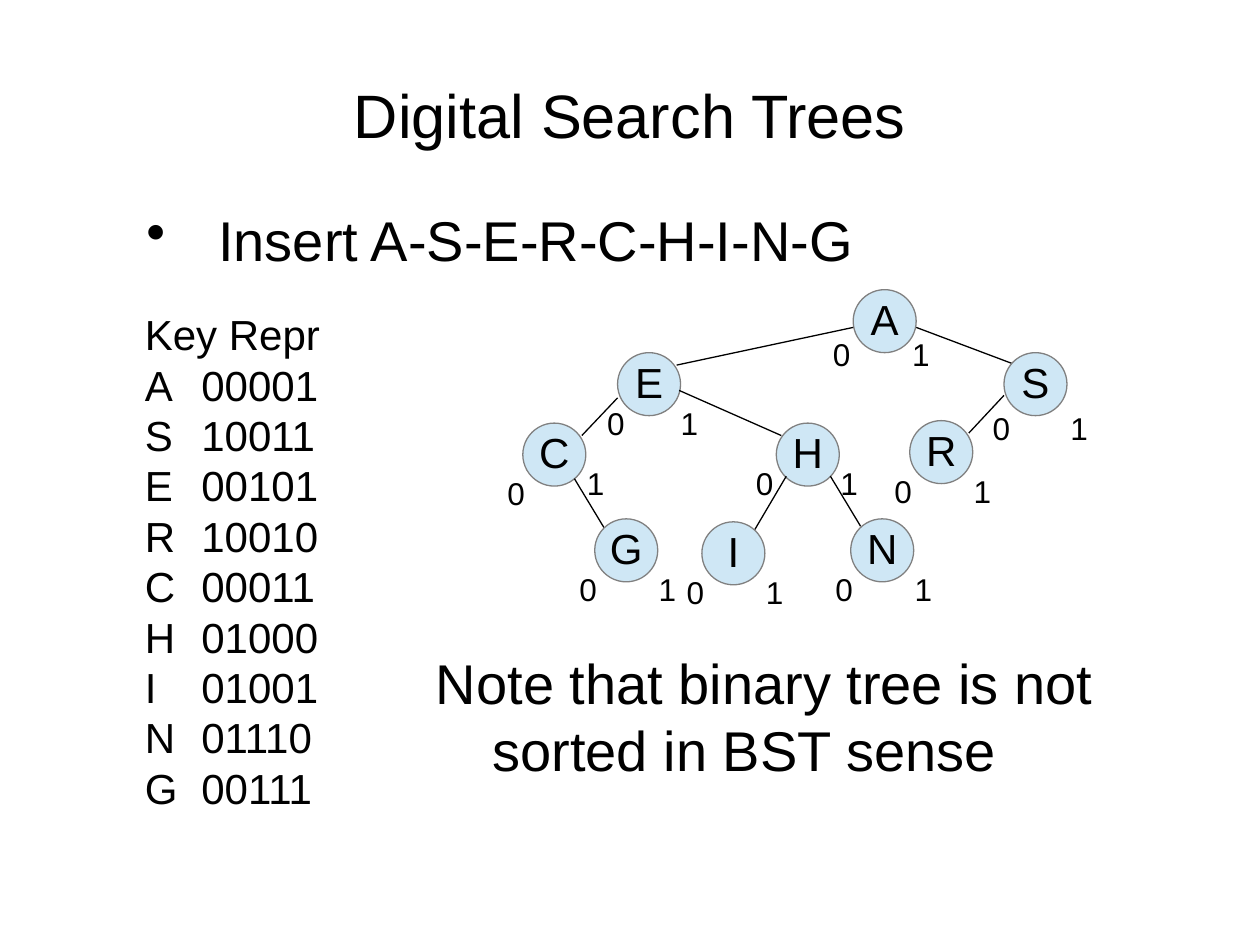
from dataclasses import dataclass

from lxml import etree
from pptx import Presentation
from pptx import util as u
from pptx.dml.color import RGBColor
from pptx.enum import shapes, text
from pptx.oxml.ns import qn


@dataclass(frozen=True)
class Theme:
    font: str = "Arial"
    ink: str = "000000"
    node_fill: str = "CFE7F5"
    node_line: str = "808080"
    title: float = 35
    body: float = 32
    key: float = 24
    bit: float = 18
    line_width: float = 0.75
    tight: float = 0.93


THEME = Theme()
NODE_SIZE = 1.27
BIT_SIZE = (0.86, 0.97)

KEYS = [("A", "00001"), ("S", "10011"), ("E", "00101"), ("R", "10010"), ("C", "00011"),
        ("H", "01000"), ("I", "01001"), ("N", "01110"), ("G", "00111")]

# Top-left corner of each node, in cm, parents first
NODES = {
    "A": (17.2, 5.84), "S": (20.24, 7.11), "E": (12.45, 7.11),
    "R": (18.34, 8.48), "C": (10.54, 8.53), "H": (15.65, 8.53),
    "I": (14.15, 10.52), "N": (17.15, 10.46), "G": (11.99, 10.46),
}

# Child: parent, offset in the parent, offset in the child
EDGES = {
    "S": ("A", (1.27, 0.76), (0.25, 0.25)),
    "E": ("A", (0, 0.76), (1.19, 0.25)),
    "R": ("S", (0, 0.86), (1.19, 0.25)),
    "C": ("E", (0, 0.91), (1.19, 0.25)),
    "H": ("E", (1.24, 0.76), (0.1, 0.25)),
    "I": ("H", (0.2, 1.07), (1.04, 0.2)),
    "N": ("H", (1.09, 1.07), (0.2, 0.15)),
    "G": ("C", (1.04, 1.12), (0.2, 0.2)),
}

# Offsets of the 0 and 1 labels from their node
BITS = ((-0.56, 0.97), (1.04, 0.97))
MOVED_BITS = {
    "A": ((-0.66, 0.86), (0.94, 0.86)),
    "S": ((-0.48, 1.07), (1.09, 1.07)),
    "E": ((-0.46, 0.97), (1.02, 0.97)),
    "C": ((-0.56, 0.97), (1.04, 0.76)),
    "H": ((-0.66, 0.76), (1.04, 0.76)),
}


def shift(point, offset):
    return point[0] + offset[0], point[1] + offset[1]


def cm(*values):
    return [u.Cm(v) for v in values]


def set_indent(p, margin, first):
    pPr = p._p.get_or_add_pPr()
    pPr.set("marL", str(u.Cm(margin)))
    pPr.set("indent", str(u.Cm(first)))


def add_bullet(p):
    bullet = etree.SubElement(p._p.get_or_add_pPr(), qn("a:buChar"))
    bullet.set("char", "•")


def add_run(p, content, size):
    r = p.add_run()
    r.text = content
    r.font.name = THEME.font
    r.font.size = u.Pt(size)
    r.font.color.rgb = RGBColor.from_string(THEME.ink)


def add_text(s, box, lines, size, indent=None, bullet=False, wrap=True, centred=False, spacing=None):
    tf = s.shapes.add_textbox(*cm(*box)).text_frame
    tf.word_wrap = wrap
    if centred:
        tf.vertical_anchor = text.MSO_ANCHOR.MIDDLE
    for i, line in enumerate(lines):
        p = tf.paragraphs[0] if i == 0 else tf.add_paragraph()
        p.alignment = text.PP_ALIGN.CENTER if centred else text.PP_ALIGN.LEFT
        if spacing:
            p.line_spacing = spacing
        if indent:
            set_indent(p, *indent)
        if bullet:
            add_bullet(p)
        add_run(p, line, size)


def add_edge(s, start, end):
    line = s.shapes.add_connector(shapes.MSO_CONNECTOR.STRAIGHT, *cm(*start, *end))
    line.line.color.rgb = RGBColor.from_string(THEME.ink)
    line.line.width = u.Pt(THEME.line_width)
    etree.SubElement(line._element.spPr, qn("a:effectLst"))


def add_node(s, letter, corner):
    sp = s.shapes.add_shape(shapes.MSO_SHAPE.OVAL, *cm(*corner, NODE_SIZE, NODE_SIZE))
    sp.shadow.inherit = False
    sp.fill.solid()
    sp.fill.fore_color.rgb = RGBColor.from_string(THEME.node_fill)
    sp.line.color.rgb = RGBColor.from_string(THEME.node_line)
    sp.line.width = u.Pt(THEME.line_width)
    tf = sp.text_frame
    tf.word_wrap = False
    tf.vertical_anchor = text.MSO_ANCHOR.MIDDLE
    p = tf.paragraphs[0]
    p.alignment = text.PP_ALIGN.CENTER
    p.line_spacing = THEME.tight
    add_run(p, letter, THEME.key)


def add_tree(s):
    for letter, corner in NODES.items():
        if letter in EDGES:
            parent, start, end = EDGES[letter]
            add_edge(s, shift(NODES[parent], start), shift(corner, end))
        add_node(s, letter, corner)
        for bit, offset in enumerate(MOVED_BITS.get(letter, BITS)):
            add_text(s, (*shift(corner, offset), *BIT_SIZE), [str(bit)], THEME.bit,
                     wrap=False, spacing=THEME.tight)


def main():
    prs = Presentation()
    prs.slide_width, prs.slide_height = cm(25.4, 19.05)
    s = prs.slides.add_slide(prs.slide_layouts[6])
    hanging = (1.27, -1.14)
    add_text(s, (1.9, 1.32, 21.6, 2.1), ["Digital Search Trees"], THEME.title,
             centred=True, spacing=THEME.tight)
    add_text(s, (2.57, 4.01, 19.53, 1.63), ["Insert A-S-E-R-C-H-I-N-G"], THEME.body,
             indent=(1.58, -1.45), bullet=True)
    rows = ["Key Repr"] + [f"{key}\t{code}" for key, code in KEYS]
    add_text(s, (2.54, 6.1, 5.31, 10.41), rows, THEME.key, indent=hanging)
    add_tree(s)
    add_text(s, (8.41, 12.95, 14.45, 2.97), ["Note that binary tree is not sorted in BST sense"],
             THEME.body, indent=hanging)
    prs.save("out.pptx")


if __name__ == "__main__":
    main()
